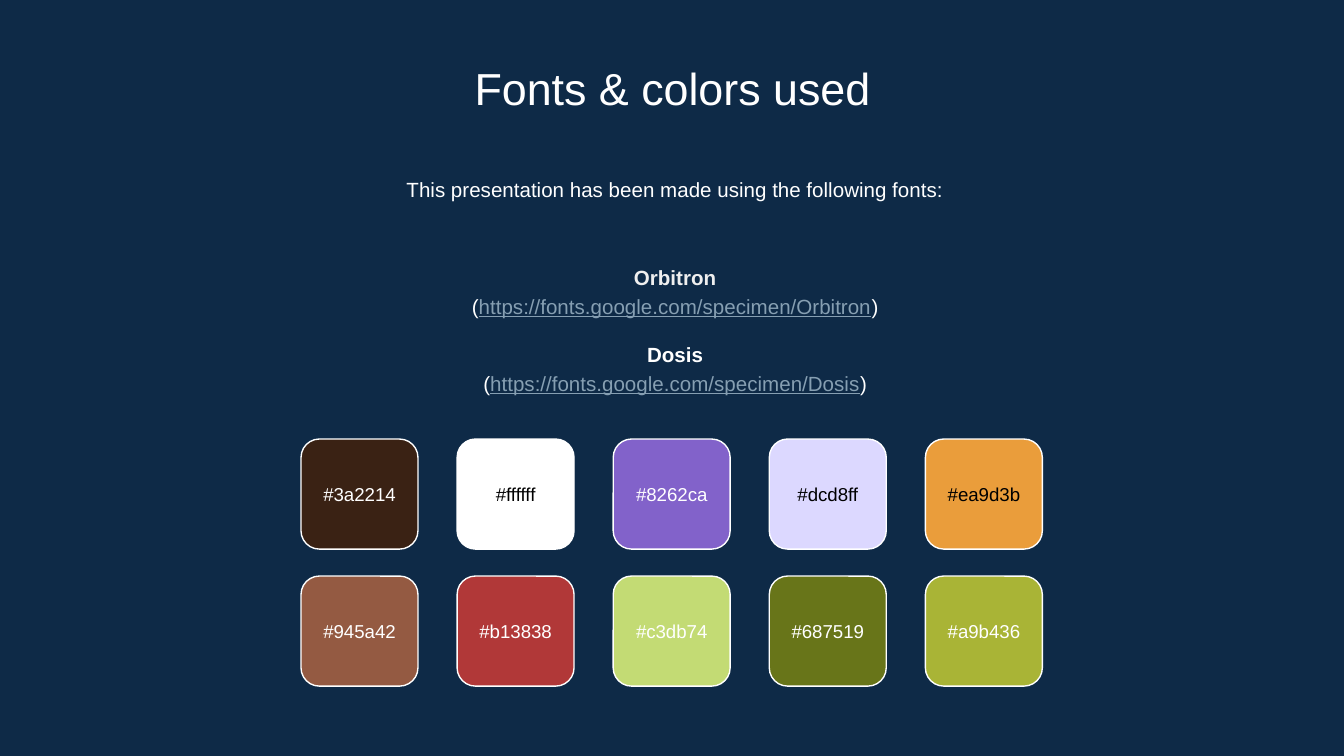
from dataclasses import dataclass

import pptx
import pptx.dml.color
import pptx.enum.shapes
import pptx.enum.text
import pptx.oxml.ns
import pptx.text.text
import pptx.util
from lxml import etree

Cm = pptx.util.Cm
Pt = pptx.util.Pt
ANCHOR = pptx.enum.text.MSO_ANCHOR

FONT = "Arial"
COLORS = {
    "background": "0E2A47",
    "white": "FFFFFF",
    "black": "000000",
    "font_name": "EFEFEF",
    "link": "869FB2",
}


@dataclass
class Swatch:
    hex_code: str
    label_color: str = "white"


@dataclass
class FontEntry:
    name: str
    address: str
    name_color: str = "white"
    space_before: float = 0


SWATCH_ROWS = [
    [
        Swatch("3a2214"),
        Swatch("ffffff", "black"),
        Swatch("8262ca"),
        Swatch("dcd8ff", "black"),
        Swatch("ea9d3b", "black"),
    ],
    [Swatch(code) for code in ("945a42", "b13838", "c3db74", "687519", "a9b436")],
]
FONT_ENTRIES = [
    FontEntry("Orbitron", "https://fonts.google.com/specimen/Orbitron", "font_name"),
    FontEntry("Dosis", "https://fonts.google.com/specimen/Dosis", space_before=11),
]

# Swatch grid, in cm
GRID_LEFT, GRID_TOP = 5.69, 8.3
COLUMN_STEP, ROW_STEP = 2.95, 2.59
SWATCH_WIDTH, SWATCH_HEIGHT = 2.21, 2.08
LABEL_HEIGHT = 1.22


def rgb(hex_code: str) -> pptx.dml.color.RGBColor:
    return pptx.dml.color.RGBColor.from_string(hex_code.upper())


def place(shape, left: float, top: float, width: float, height: float) -> None:
    shape.left, shape.top = Cm(left), Cm(top)
    shape.width, shape.height = Cm(width), Cm(height)


def set_frame(shape, anchor) -> pptx.text.text.TextFrame:
    frame = shape.text_frame
    frame.word_wrap = True
    frame.auto_size = pptx.enum.text.MSO_AUTO_SIZE.NONE
    frame.vertical_anchor = anchor
    frame.margin_left = frame.margin_right = Cm(0.25)
    frame.margin_top = frame.margin_bottom = Cm(0.25)
    return frame


def set_paragraph(paragraph, size: float, color: str, bold: bool = False,
                  line_spacing: float = 1.0, space_before: float = 0) -> None:
    paragraph.alignment = pptx.enum.text.PP_ALIGN.CENTER
    paragraph.line_spacing = line_spacing
    paragraph.space_before = Pt(space_before)
    paragraph.font.name = FONT
    paragraph.font.size = Pt(size)
    paragraph.font.bold = bold
    paragraph.font.color.rgb = rgb(COLORS[color])


def remove_bullet(paragraph) -> None:
    properties = paragraph._p.get_or_add_pPr()
    properties.set("marL", "0")
    properties.set("indent", "0")
    etree.SubElement(properties, pptx.oxml.ns.qn("a:buNone"))


def add_label(slide, text: str, box: tuple[float, float, float, float], anchor,
              size: float, color: str, line_spacing: float = 1.0) -> None:
    label = slide.shapes.add_textbox(*map(Cm, box))
    paragraph = set_frame(label, anchor).paragraphs[0]
    paragraph.text = text
    set_paragraph(paragraph, size, color, line_spacing=line_spacing)


def add_swatch(slide, swatch: Swatch, left: float, top: float) -> None:
    tile = slide.shapes.add_shape(
        pptx.enum.shapes.MSO_SHAPE.ROUNDED_RECTANGLE,
        Cm(left), Cm(top), Cm(SWATCH_WIDTH), Cm(SWATCH_HEIGHT))
    tile.shadow.inherit = False
    tile.fill.solid()
    tile.fill.fore_color.rgb = rgb(swatch.hex_code)
    tile.line.color.rgb = rgb(COLORS["white"])
    tile.line.width = Pt(0.75)
    label_top = top + (SWATCH_HEIGHT - LABEL_HEIGHT) / 2
    add_label(slide, f"#{swatch.hex_code}",
              (left, label_top, SWATCH_WIDTH, LABEL_HEIGHT),
              ANCHOR.MIDDLE, 10, swatch.label_color)


def fill_font_list(frame: pptx.text.text.TextFrame, entries: list[FontEntry]) -> None:
    for index, entry in enumerate(entries):
        heading = frame.add_paragraph() if index else frame.paragraphs[0]
        heading.text = entry.name
        remove_bullet(heading)
        set_paragraph(heading, 11, entry.name_color, True, 1.15, entry.space_before)

        reference = frame.add_paragraph()
        remove_bullet(reference)
        set_paragraph(reference, 11, "white", line_spacing=1.15)
        reference.add_run().text = "("
        address = reference.add_run()
        address.text = entry.address
        address.font.underline = True
        address.font.color.rgb = rgb(COLORS["link"])
        reference.add_run().text = ")"


def main() -> None:
    presentation = pptx.Presentation()
    presentation.slide_width, presentation.slide_height = Cm(25.4), Cm(14.29)
    slide = presentation.slides.add_slide(presentation.slide_layouts[1])
    slide.background.fill.solid()
    slide.background.fill.fore_color.rgb = rgb(COLORS["background"])

    # Title
    title = slide.shapes.title
    place(title, 2.92, 0.89, 19.58, 1.35)
    heading = set_frame(title, ANCHOR.TOP).paragraphs[0]
    heading.text = "Fonts & colors used"
    set_paragraph(heading, 24, "white")

    # Introduction and list of fonts
    add_label(slide, "This presentation has been made using the following fonts:",
              (2.97, 3.02, 19.58, 1.22), ANCHOR.TOP, 11, "white", 1.15)
    font_list = slide.placeholders[1]
    place(font_list, 2.97, 4.47, 19.58, 3.48)
    fill_font_list(set_frame(font_list, ANCHOR.MIDDLE), FONT_ENTRIES)

    # Color swatches
    for row, swatches in enumerate(SWATCH_ROWS):
        for column, swatch in enumerate(swatches):
            add_swatch(slide, swatch, GRID_LEFT + column * COLUMN_STEP,
                       GRID_TOP + row * ROW_STEP)

    presentation.save("out.pptx")


if __name__ == "__main__":
    main()
